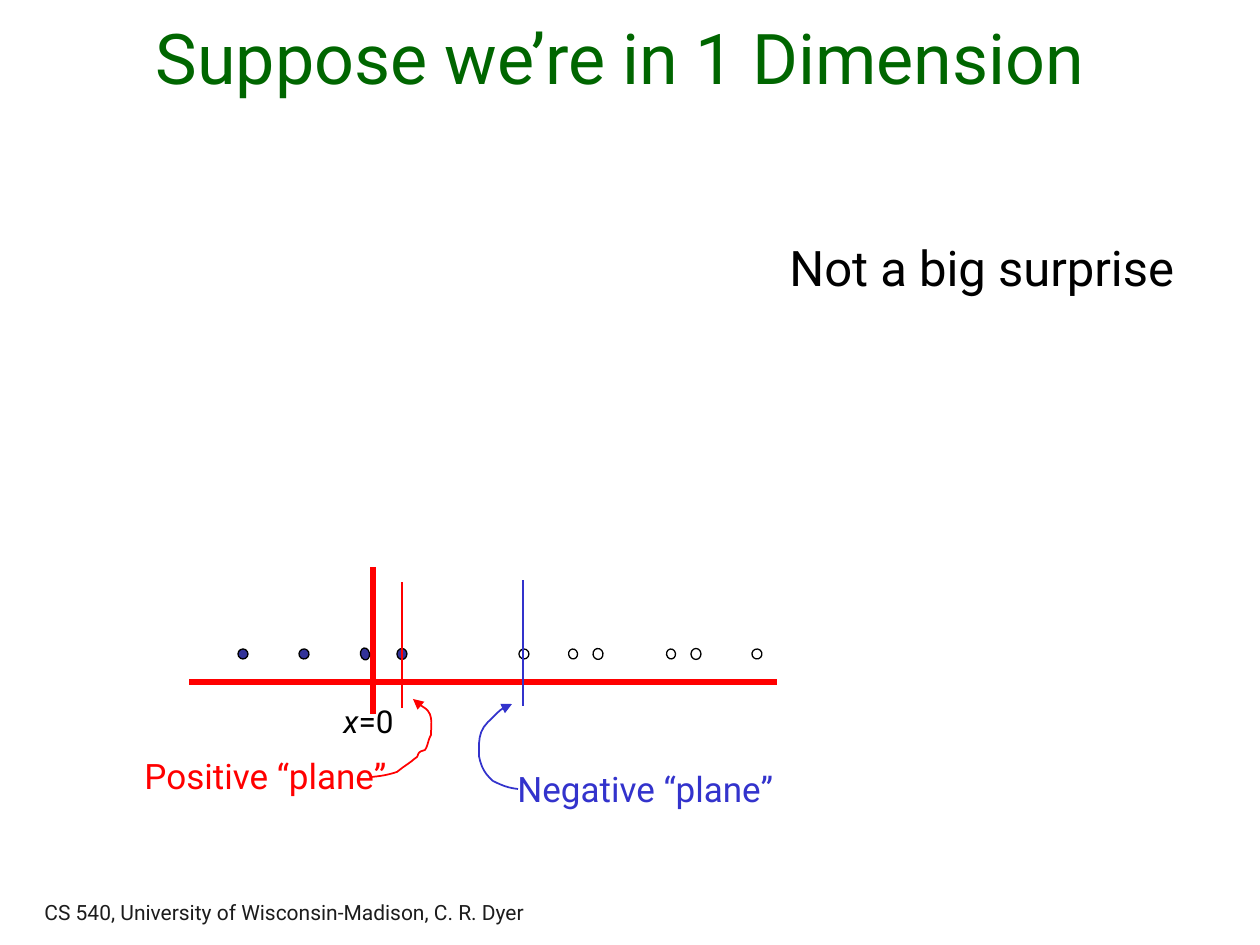
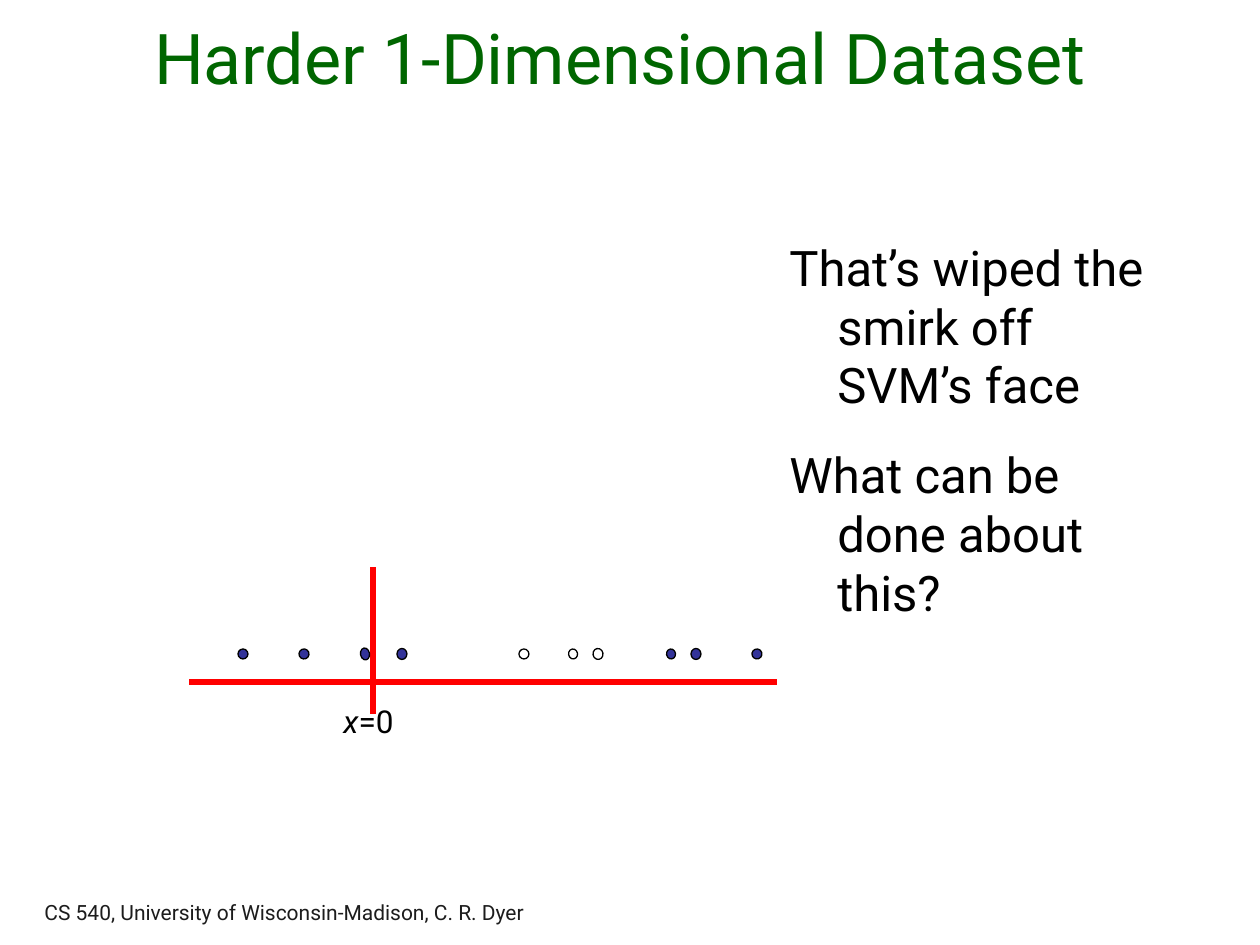
"""Build two slides about support vector machines on one-dimensional data."""
from lxml.etree import SubElement
from pptx import Presentation
from pptx.dml.color import RGBColor
from pptx.enum.shapes import MSO_CONNECTOR, MSO_SHAPE
from pptx.enum.text import MSO_ANCHOR, MSO_AUTO_SIZE, PP_ALIGN
from pptx.oxml.ns import qn
from pptx.util import Emu, Pt

FONT = "Roboto"
GREEN = RGBColor(0x00, 0x66, 0x00)
RED = RGBColor(0xFF, 0x00, 0x00)
BLUE = RGBColor(0x33, 0x33, 0xCC)
NAVY = RGBColor(0x33, 0x33, 0x99)
WHITE = RGBColor(0xFF, 0xFF, 0xFF)
BLACK = RGBColor(0x00, 0x00, 0x00)
CHARCOAL = RGBColor(0x1C, 0x1C, 0x1C)

EMU_PER_PX = 914400 / 126
SLIDE_SIZE = (1260, 945)
TITLE_BOX = (32, 10, 1176, 95)
FOOTER_BOX = (32, 896, 699, 35)
HANGING = 48
DOT_Y = 654
CURVE_STEPS = 6

FOOTER = "CS 540, University of Wisconsin-Madison, C. R. Dyer"
AXES = [((373, 567), (373, 714)), ((189, 682), (777, 682))]
ORIGIN_LABEL = [("x", True), ("=0", False)]
ORIGIN_BOX = (331, 696, 125, 50)

# Each dot: centre x, width, height, rotation in degrees.
DOTS = [
    (243, 10, 10, 0), (304, 10, 10, 98), (365, 12, 9, 80), (402, 10, 11, 0),
    (524, 10, 10, 0), (573, 10, 9, 80), (598, 11, 10, 80),
    (671, 10, 9, 80), (696, 10, 11, 0), (757, 10, 10, 341),
]

PLANES = [
    {
        "label": "Positive “plane”", "color": RED, "box": (132, 748, 307, 55),
        "line": ((402, 708), (402, 582)),
        "pointer": [
            (372, 777), (382, 776), (388, 775), (397, 772),
            (406, 765), (401, 769), (412, 761), (413, 760), (417, 757), (417, 757),
            (418, 756), (418, 753), (420, 752), (421, 751), (423, 751), (425, 750),
            (428, 746), (428, 740), (431, 735), (431, 727), (433, 717), (428, 711),
            (426, 708), (418, 704), (418, 704), (415, 699), (417, 699), (413, 699),
        ],
    },
    {
        "label": "Negative “plane”", "color": BLUE, "box": (505, 761, 307, 55),
        "line": ((523, 706), (523, 580)),
        "pointer": [
            (518, 789), (508, 788), (501, 785), (493, 781),
            (485, 774), (481, 767), (479, 756), (479, 742), (478, 732), (488, 722),
            (493, 718), (500, 708), (508, 706), (509, 706), (512, 704), (512, 704),
        ],
    },
]

SLIDES = [
    {
        "title": "Suppose we’re in 1 Dimension",
        "remarks": ["Not a big surprise"], "remarks_box": (777, 231, 410, 131),
        "dot_classes": "++++------", "planes": PLANES,
    },
    {
        "title": "Harder 1-Dimensional Dataset",
        "remarks": ["That’s wiped the smirk off SVM’s face", "What can be done about this?"],
        "remarks_box": (777, 231, 410, 397),
        "dot_classes": "++++---+++", "planes": [],
    },
]


def px(length):
    """Turn pixels into EMU."""
    return Emu(round(length * EMU_PER_PX))


def place(box):
    """Turn a pixel box into EMU lengths."""
    return [px(length) for length in box]


def set_font(paragraph, size, color):
    """Format a whole paragraph."""
    font = paragraph.font
    font.name, font.size, font.color.rgb = FONT, Pt(size), color


def add_text(slide, box, paragraphs, size, color, hanging=HANGING):
    """Add a wrapped text box; each paragraph is a list of (text, italic) runs."""
    frame = slide.shapes.add_textbox(*place(box)).text_frame
    frame.word_wrap = True
    for index, runs in enumerate(paragraphs):
        paragraph = frame.add_paragraph() if index else frame.paragraphs[0]
        if index:
            paragraph.space_before = Pt(size * 0.625)
        if hanging:
            properties = paragraph._p.get_or_add_pPr()
            properties.set("marL", str(px(hanging)))
            properties.set("indent", str(-px(hanging)))
        for text, italic in runs:
            run = paragraph.add_run()
            run.text = text
            if italic:
                run.font.italic = True
        set_font(paragraph, size, color)
    return frame


def add_line(slide, start, end, color, width):
    """Add a straight line without shadow."""
    line = slide.shapes.add_connector(MSO_CONNECTOR.STRAIGHT, *place(start + end))
    line.line.color.rgb, line.line.width = color, Pt(width)
    SubElement(line._element.spPr, qn("a:effectLst"))


def add_dot(slide, dot, color):
    """Add one data point."""
    x, width, height, rotation = dot
    box = (x - width / 2, DOT_Y - height / 2, width, height)
    shape = slide.shapes.add_shape(MSO_SHAPE.OVAL, *place(box))
    shape.shadow.inherit = False
    shape.rotation = rotation
    shape.fill.solid()
    shape.fill.fore_color.rgb = color
    shape.line.color.rgb, shape.line.width = BLACK, Pt(0.75)


def curve_points(controls):
    """Sample a chain of cubic curves that share their end points."""
    points = [controls[0]]
    for first in range(0, len(controls) - 1, 3):
        segment = controls[first:first + 4]
        for step in range(1, CURVE_STEPS + 1):
            t = step / CURVE_STEPS
            weights = ((1 - t) ** 3, 3 * t * (1 - t) ** 2, 3 * t * t * (1 - t), t ** 3)
            points.append(tuple(
                sum(weight * point[axis] for weight, point in zip(weights, segment))
                for axis in (0, 1)))
    return points


def add_pointer(slide, controls, color):
    """Add a curved arrow."""
    points = [(x * EMU_PER_PX, y * EMU_PER_PX) for x, y in curve_points(controls)]
    builder = slide.shapes.build_freeform(*points[0], scale=1.0)
    builder.add_line_segments(points[1:], close=False)
    shape = builder.convert_to_shape()
    shape.shadow.inherit = False
    shape.fill.background()
    shape.line.color.rgb, shape.line.width = color, Pt(1)
    SubElement(shape.line._get_or_add_ln(), qn("a:tailEnd"), type="triangle")


def add_title(slide, text):
    """Fill and format the title placeholder."""
    title = slide.shapes.title
    title.left, title.top, title.width, title.height = place(TITLE_BOX)
    frame = title.text_frame
    frame.text = text
    frame.auto_size, frame.vertical_anchor = MSO_AUTO_SIZE.NONE, MSO_ANCHOR.BOTTOM
    paragraph = frame.paragraphs[0]
    paragraph.alignment = PP_ALIGN.CENTER
    set_font(paragraph, 40, GREEN)


def build_slide(presentation, content):
    """Add one slide with its number line."""
    slide = presentation.slides.add_slide(presentation.slide_layouts[5])
    add_title(slide, content["title"])
    for start, end in AXES:
        add_line(slide, start, end, RED, 3)
    for dot, dot_class in zip(DOTS, content["dot_classes"]):
        add_dot(slide, dot, NAVY if dot_class == "+" else WHITE)
    remarks = [[(remark, False)] for remark in content["remarks"]]
    add_text(slide, content["remarks_box"], remarks, 28, BLACK)
    for plane in content["planes"]:
        add_line(slide, *plane["line"], plane["color"], 1)
        add_text(slide, plane["box"], [[(plane["label"], False)]], 20, plane["color"])
        add_pointer(slide, plane["pointer"], plane["color"])
    add_text(slide, ORIGIN_BOX, [ORIGIN_LABEL], 18, BLACK)
    footer = add_text(slide, FOOTER_BOX, [[(FOOTER, False)]], 12, CHARCOAL, hanging=0)
    footer.vertical_anchor = MSO_ANCHOR.BOTTOM


def main():
    """Build and save the presentation."""
    presentation = Presentation()
    presentation.slide_width, presentation.slide_height = place(SLIDE_SIZE)
    for content in SLIDES:
        build_slide(presentation, content)
    presentation.save("out.pptx")


if __name__ == "__main__":
    main()
